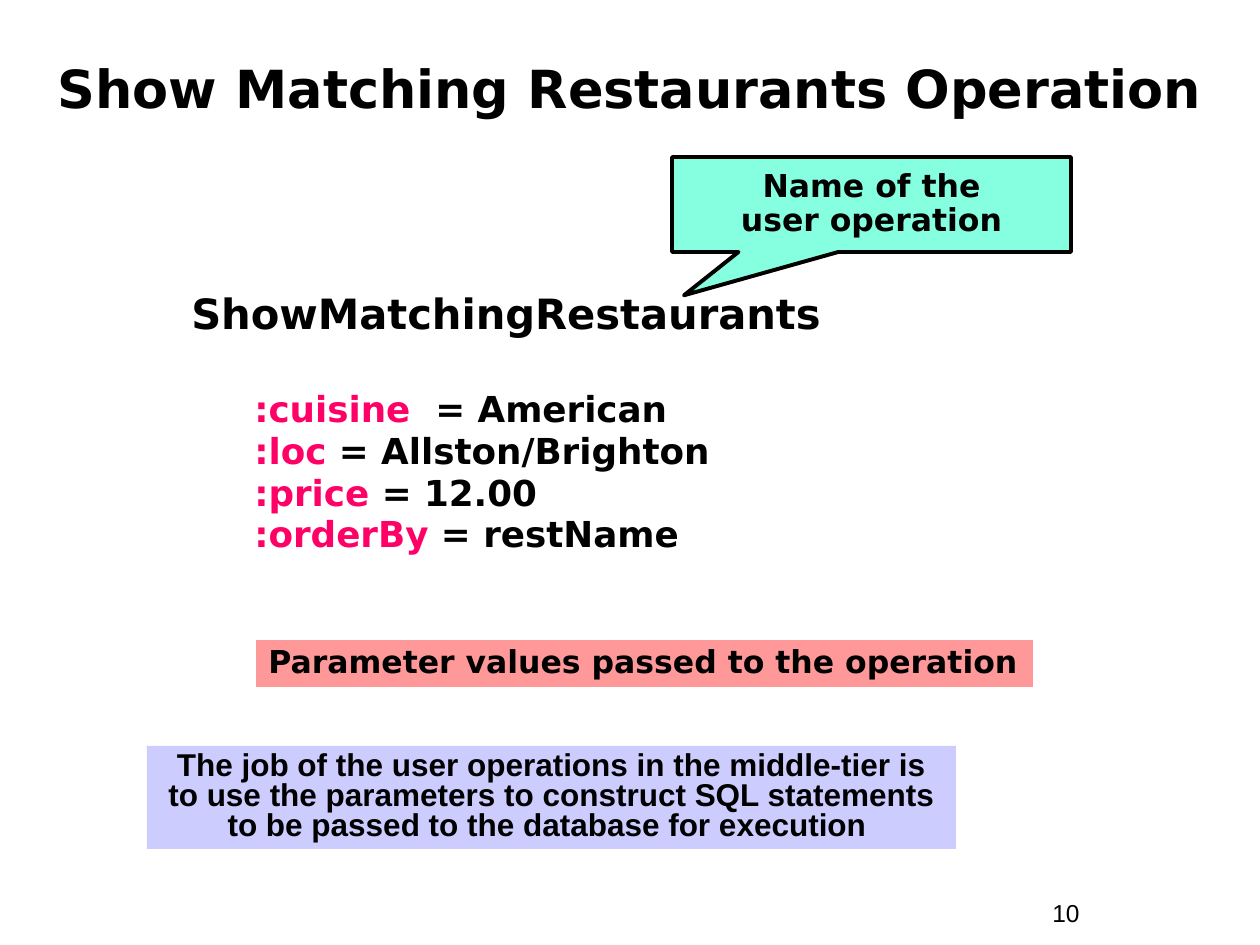
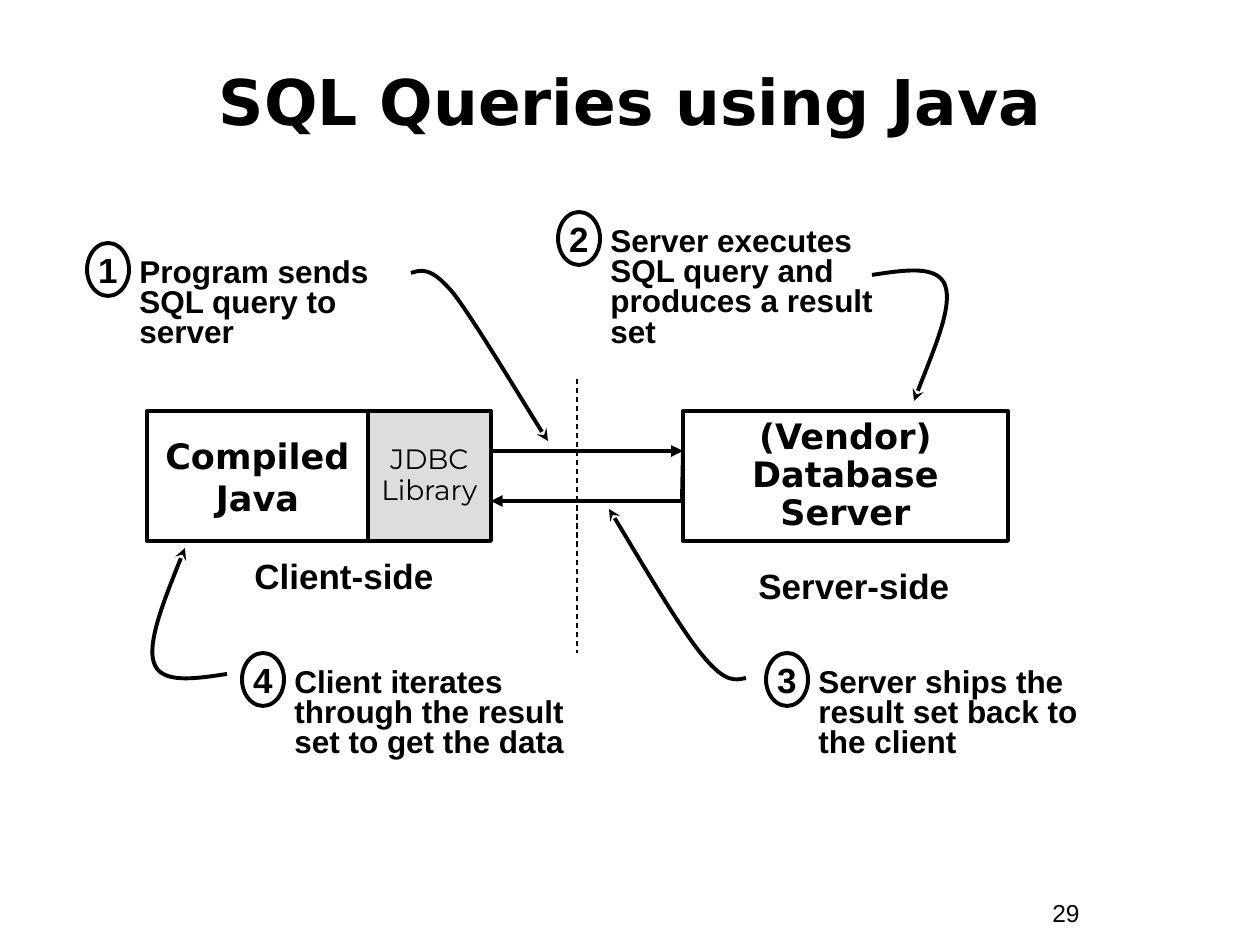
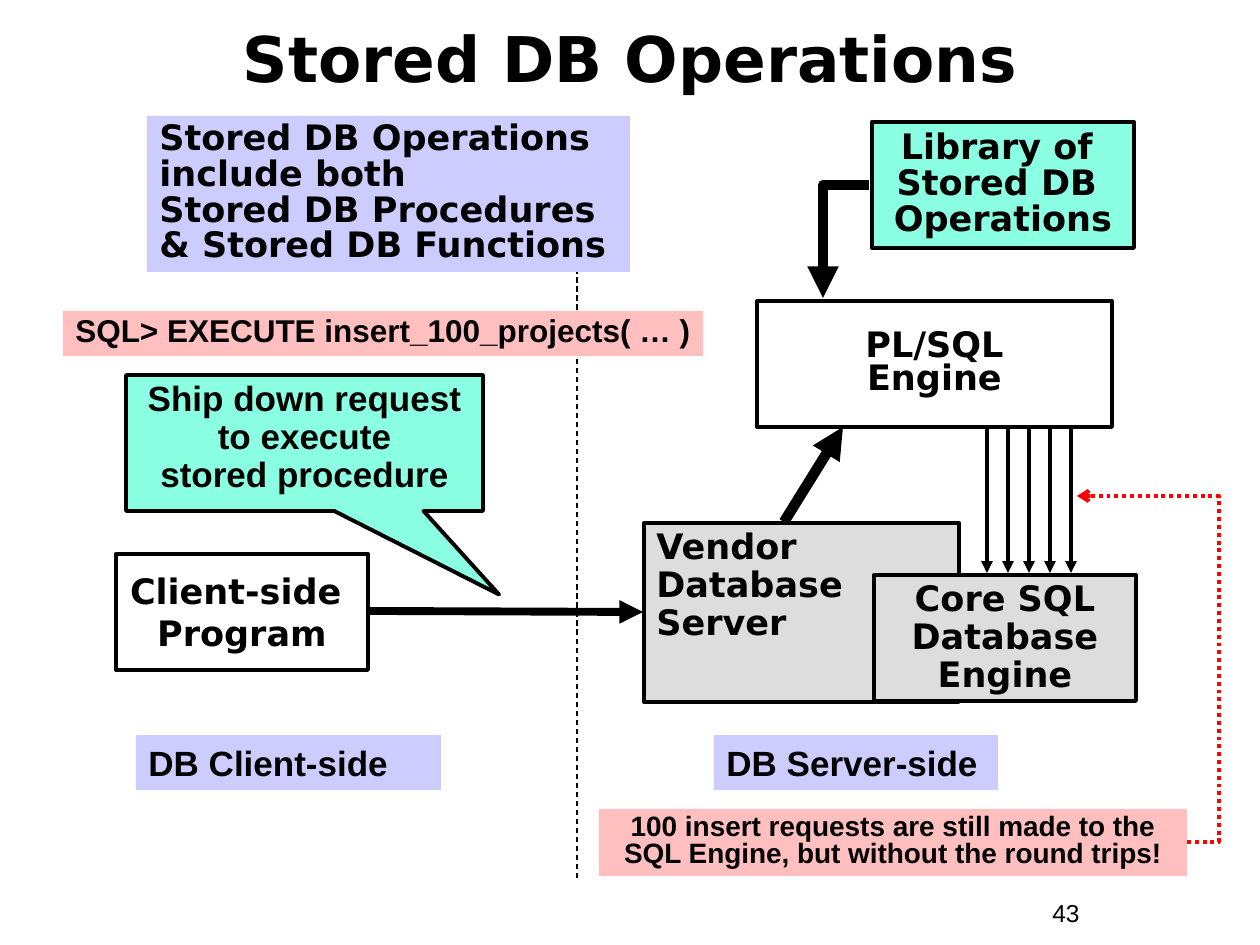
from lxml import etree
from pptx import Presentation, util as u
from pptx.dml.color import RGBColor
from pptx.enum import dml, shapes, text
from pptx.oxml import ns

PX = 914400 / 126
BLACK, GREY, PINK, RED = "000000", "DDDDDD", "FF0066", "FF0000"
MINT, AQUA, ROSE, BLUSH, LILAC = "85FFDF", "8BFFE1", "FF9999", "FFBFBF", "CCCCFF"
SANS, PLAIN, THIN = "DejaVu Sans", "Arial", "Montserrat"
EDGE = 2.25

BASE = dict(form="RECTANGLE", font=SANS, size=20, bold=True, mid=True, fill=None,
            line=False, left=False, gap=1.0, wrap=True, adj=())
FRAME = dict(line=True, wrap=False)
CALL = dict(form="RECTANGULAR_CALLOUT", line=True, gap=0.9)
NOTE = dict(font=PLAIN, size=18, mid=False, gap=0.8)
SIDE = dict(font=PLAIN, mid=False, left=True)
STYLES = {
    "page": dict(SIDE, size=14, bold=False),
    "title": dict(size=36),
    "long": dict(size=30),
    "name": dict(CALL, size=18, fill=MINT, adj=(-0.47, 0.956)),
    "pass": dict(size=18, mid=False, left=True, fill=ROSE, gap=0.9),
    "job": dict(NOTE, fill=LILAC),
    "step": dict(NOTE, left=True),
    "ball": dict(FRAME, form="OVAL", font=PLAIN),
    "frame": FRAME,
    "tight": dict(FRAME, gap=0.9),
    "close": dict(FRAME, gap=0.8),
    "core": dict(FRAME, gap=0.9, fill=GREY),
    "host": dict(FRAME, gap=0.9, fill=GREY, mid=False, left=True),
    "jdbc": dict(FRAME, gap=0.9, fill=GREY, font=THIN, size=16, bold=False),
    "side": SIDE,
    "tag": dict(SIDE, fill=LILAC),
    "store": dict(FRAME, gap=0.85, fill=AQUA),
    "both": dict(mid=False, left=True, gap=0.85, fill=LILAC),
    "ship": dict(CALL, font=PLAIN, mid=False, fill=AQUA, adj=(0.545, 1.114)),
    "run": dict(NOTE, gap=0.85, fill=BLUSH, wrap=False),
    "trip": dict(NOTE, size=16, fill=BLUSH),
}

PAGE = (1040, 892, 116, 43)
CALLED = "ShowMatchingRestaurants"
PARAMS = [(":cuisine", "  = American"), (":loc", " = Allston/Brighton"),
          (":price", " = 12.00"), (":orderBy", " = restName")]
STEPS = [
    (87, 243, 103, "Program sends SQL query to server"),
    (558, 212, 134, "Server executes SQL query and produces a result set"),
    (766, 653, 103, "Server ships the result set back to the client"),
    (242, 653, 103, "Client iterates through the result set to get the data"),
]
CURVES = [
    [(411, 273), (421, 270), (431, 266), (454, 294), (476, 323), (532, 417), (548, 441)],
    [(872, 275), (905, 270), (937, 265), (945, 285), (953, 306), (932, 354), (914, 401)],
    [(746, 678), (736, 680), (726, 684), (703, 656), (680, 629), (625, 534), (609, 509)],
    [(227, 674), (194, 679), (161, 684), (154, 663), (147, 643), (166, 595), (185, 548)],
]

MATCH = [
    ("page", PAGE, "10"),
    ("long", (42, 35, 1176, 105), "Show Matching Restaurants Operation"),
    ("name", (672, 157, 399, 95), "Name of the\vuser operation"),
    ("pass", (256, 640, 777, 47), "Parameter values passed to the operation"),
    ("job", (147, 746, 809, 103),
     "The job of the user operations in the middle-tier is to use the parameters "
     "to construct SQL statements to be passed to the database for execution "),
]
QUERY = [
    ("page", PAGE, "29"),
    ("title", (21, 42, 1218, 116), "SQL Queries using Java"),
    ("frame", (147, 411, 221, 130), "Compiled\nJava"),
    ("tight", (683, 411, 325, 130), "(Vendor)\vDatabase\vServer"),
    ("side", (242, 548, 221, 55), "Client-side"),
    ("side", (746, 558, 221, 55), "Server-side"),
    ("jdbc", (368, 411, 123, 130), "JDBC\vLibrary"),
]
STORED = [
    ("page", PAGE, "43"),
    ("title", (42, 10, 1176, 95), "Stored DB Operations"),
    ("frame", (116, 554, 252, 116), "Client-side \nProgram"),
    ("close", (757, 301, 355, 126), "PL/SQL\nEngine"),
    ("host", (644, 523, 315, 179), "Vendor\vDatabase\vServer"),
    ("core", (874, 575, 262, 126), "Core SQL\vDatabase\vEngine"),
    ("store", (872, 122, 262, 126), "Library of \vStored DB \vOperations"),
    ("both", (147, 116, 483, 156),
     "Stored DB Operations\vinclude both\vStored DB Procedures\v& Stored DB Functions"),
    ("ship", (126, 375, 357, 136), "Ship down request to execute\vstored procedure"),
    ("run", (63, 311, 640, 45), "SQL> EXECUTE insert_100_projects( … )"),
    ("tag", (136, 735, 305, 55), "DB Client-side"),
    ("tag", (714, 735, 284, 55), "DB Server-side"),
    ("trip", (599, 809, 588, 67),
     "100 insert requests are still made to the SQL Engine, but without the round trips!"),
]


def px(*nums):
    return [u.Emu(round(n * PX)) for n in nums]


def rgb(code):
    return RGBColor.from_string(code)


def ink(run, look, color=BLACK):
    run.font.name, run.font.size, run.font.bold = look["font"], u.Pt(look["size"]), look["bold"]
    run.font.color.rgb = rgb(color)


def put(slide, style, box, words):
    look = {**BASE, **STYLES[style]}
    if look["fill"] or look["line"]:
        kind = getattr(shapes.MSO_SHAPE, look["form"])
        item = slide.shapes.add_shape(kind, *px(*box))
        item.shadow.inherit = False
        for i, value in enumerate(look["adj"]):
            item.adjustments[i] = value
        if look["fill"]:
            item.fill.solid()
            item.fill.fore_color.rgb = rgb(look["fill"])
        else:
            item.fill.background()
        if look["line"]:
            item.line.color.rgb, item.line.width = rgb(BLACK), u.Pt(EDGE)
        else:
            item.line.fill.background()
    else:
        item = slide.shapes.add_textbox(*px(*box))
    frame = item.text_frame
    frame.text, frame.word_wrap = words, look["wrap"]
    frame.vertical_anchor = text.MSO_ANCHOR.MIDDLE if look["mid"] else text.MSO_ANCHOR.TOP
    for para in frame.paragraphs:
        para.alignment = text.PP_ALIGN.LEFT if look["left"] else text.PP_ALIGN.CENTER
        para.line_spacing = look["gap"]
        for run in para.runs:
            ink(run, look)


def tip(item, head):
    line = item.element.find(".//" + ns.qn("a:ln"))
    etree.SubElement(line, ns.qn("a:tailEnd"), type=head)


def link(slide, ends, width=EDGE, head="triangle", color=BLACK, dash=None, kind="STRAIGHT"):
    item = slide.shapes.add_connector(getattr(shapes.MSO_CONNECTOR, kind), *px(*ends))
    item.line.color.rgb, item.line.width = rgb(color), u.Pt(width)
    if dash:
        item.line.dash_style = dash
    if head:
        tip(item, head)
    etree.SubElement(item.element.spPr, ns.qn("a:effectLst"))
    return item


def split(slide, top, end):
    link(slide, (577, top, 577, end), 0.75, None, dash=dml.MSO_LINE.DASH)


def curve(slide, dots):
    pen = slide.shapes.build_freeform(*dots[0], scale=PX)
    pen.add_line_segments(dots[1:], close=False)
    item = pen.convert_to_shape()
    item.shadow.inherit = False
    item.fill.background()
    item.line.color.rgb, item.line.width = rgb(BLACK), u.Pt(EDGE)
    route = item.element.find(".//" + ns.qn("a:path"))
    legs = route.findall(ns.qn("a:lnTo"))
    for i in range(0, len(legs), 3):
        bend = etree.SubElement(route, ns.qn("a:cubicBezTo"))
        for leg in legs[i:i + 3]:
            bend.append(leg[0])
            route.remove(leg)
    tip(item, "stealth")


def params(slide):
    frame = slide.shapes.add_textbox(*px(116, 289, 1071, 284)).text_frame
    frame.word_wrap = True
    frame.text = "\n".join([CALLED] + ["".join(row) for row in PARAMS])
    for i, para in enumerate(frame.paragraphs):
        para.line_spacing = 0.85
        props = para._p.get_or_add_pPr()
        props.set("marL", str(px(126 if i else 63)[0]))
        if not i:
            ink(para.runs[0], dict(BASE, size=23.8))
            continue
        para.space_before = u.Pt(32 if i == 1 else 3)
        key, value = PARAMS[i - 1]
        para.runs[0].text = key
        para.add_run().text = value
        for run, color in zip(para.runs, (PINK, BLACK)):
            ink(run, dict(BASE, size=20.4), color)


def match(slide):
    params(slide)


def query(slide):
    for ends in [(491, 451, 683, 451), (683, 501, 491, 501)]:
        link(slide, ends)
    for ends in [(491, 454, 491, 500), (683, 452, 682, 500)]:
        link(slide, ends, head=None)
    for dots in CURVES:
        curve(slide, dots)
    for i, (x, y, high, words) in enumerate(STEPS, 1):
        put(slide, "step", (x + 40, y + 10, 305, high), words)
        put(slide, "ball", (x, y, 42, 53), str(i))


def stored(slide):
    link(slide, (369, 611, 643, 612), 4.5)
    link(slide, (784, 522, 843, 427), 6)
    for i in range(5):
        x = 987 + 21 * i
        link(slide, (x, 426, x, 573))
    feed = link(slide, (823, 185, 869, 298), 6, kind="ELBOW").element.spPr
    feed.find(ns.qn("a:prstGeom")).set("prst", "bentConnector2")
    turn = feed.find(ns.qn("a:xfrm"))
    turn.set("rot", "10800000")
    turn.set("flipV", "1")
    loop = link(slide, (1187, 842, 1077, 496), EDGE, "arrow", RED,
                dml.MSO_LINE.ROUND_DOT, "ELBOW").element.spPr
    geom = loop.find(ns.qn("a:prstGeom"))
    for old in list(geom):
        geom.remove(old)
    guides = etree.SubElement(geom, ns.qn("a:avLst"))
    etree.SubElement(guides, ns.qn("a:gd"), name="adj1", fmla="val -28900")


def main():
    deck = Presentation()
    deck.slide_width, deck.slide_height = px(1260, 945)
    plan = [(MATCH, None, match), (QUERY, (379, 653), query), (STORED, (142, 882), stored)]
    for items, span, extra in plan:
        slide = deck.slides.add_slide(deck.slide_layouts[6])
        if span:
            split(slide, *span)
        for item in items:
            put(slide, *item)
        extra(slide)
    deck.save("out.pptx")


if __name__ == "__main__":
    main()
